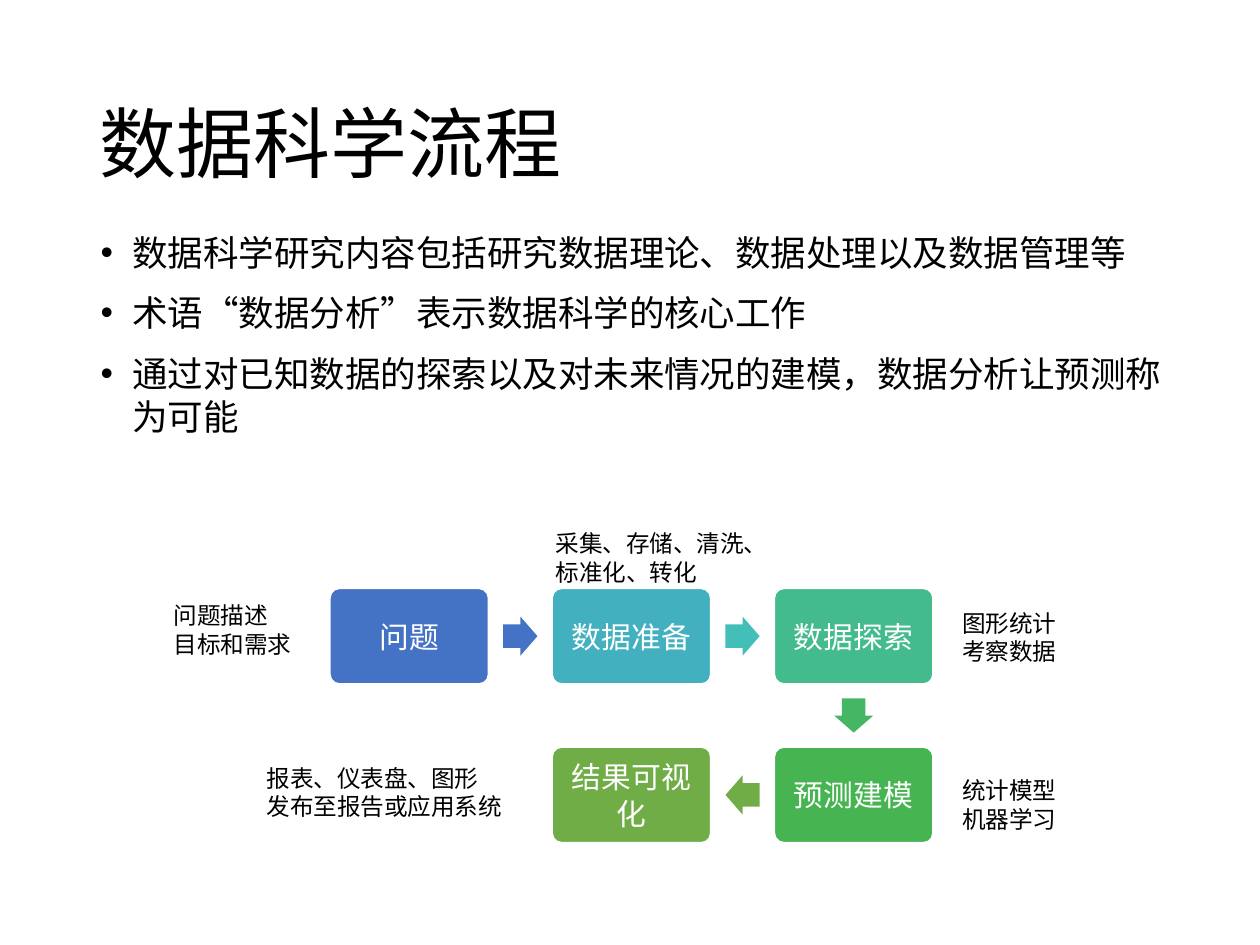
from lxml import etree
from pptx import Presentation
from pptx.dml.color import RGBColor
from pptx.enum import shapes, text
from pptx.oxml.ns import qn
from pptx.util import Cm, Pt

FONT = "Noto Sans CJK SC"
BLACK = RGBColor(0x00, 0x00, 0x00)
WHITE = RGBColor(0xFF, 0xFF, 0xFF)
BLUE = RGBColor(0x44, 0x72, 0xC4)
CYAN = RGBColor(0x43, 0xB0, 0xC0)
TURQUOISE = RGBColor(0x43, 0xBE, 0xB9)
TEAL = RGBColor(0x43, 0xBB, 0x8D)
EMERALD = RGBColor(0x45, 0xB6, 0x64)
GREEN = RGBColor(0x45, 0xB4, 0x51)
OLIVE = RGBColor(0x71, 0xAD, 0x47)


def write(box, lines, *, size, color=BLACK, align=text.PP_ALIGN.LEFT,
          anchor=text.MSO_ANCHOR.TOP, margins=None, gap=0, bullet=False):
    """Fill a shape with one paragraph per line; gap is the space between them in points."""
    frame = box.text_frame
    frame.word_wrap = True
    frame.vertical_anchor = anchor
    if margins is not None:
        frame.margin_left = frame.margin_right = margins
        frame.margin_top = frame.margin_bottom = margins
    for index, line in enumerate(lines):
        para = frame.add_paragraph() if index else frame.paragraphs[0]
        para.alignment = align
        para.line_spacing = Pt(round(size * 1.21, 1))
        if index and gap:
            para.space_before = Pt(gap)
        if bullet:
            properties = para._p.get_or_add_pPr()
            properties.set("marL", str(Cm(0.64)))
            properties.set("indent", str(Cm(-0.64)))
            etree.SubElement(properties, qn("a:buFont")).set("typeface", "Arial")
            etree.SubElement(properties, qn("a:buChar")).set("char", "•")
        span = para.add_run()
        span.text = line
        span.font.size = Pt(size)
        span.font.name = FONT
        span.font.color.rgb = color
        etree.SubElement(span._r.get_or_add_rPr(), qn("a:ea")).set("typeface", FONT)


deck = Presentation()
deck.slide_width, deck.slide_height = Cm(25.4), Cm(19.05)
page = deck.slides.add_slide(deck.slide_layouts[6])

title = page.shapes.add_textbox(Cm(1.75), Cm(1.01), Cm(21.9), Cm(3.68))
write(title, ["数据科学流程"], size=44, anchor=text.MSO_ANCHOR.MIDDLE)

body = page.shapes.add_textbox(Cm(1.78), Cm(4.52), Cm(21.9), Cm(5.49))
write(body, [
    "数据科学研究内容包括研究数据理论、数据处理以及数据管理等",
    "术语“数据分析”表示数据科学的核心工作",
    "通过对已知数据的探索以及对未来情况的建模，数据分析让预测称为可能",
], size=20.3, gap=10, bullet=True)

# Process steps sit on a grid of three columns and two rows
GRID_LEFT, GRID_TOP = 6.65, 11.86
COLUMN_STEP, ROW_STEP = 4.48, 3.2
STEP_WIDTH, STEP_HEIGHT = 3.2, 1.93
ARROW_WIDTH, ARROW_HEIGHT = 0.69, 0.79

steps = [
    ("问题", 0, 0, BLUE),
    ("数据准备", 1, 0, CYAN),
    ("数据探索", 2, 0, TEAL),
    ("预测建模", 2, 1, GREEN),
    ("结果可视化", 1, 1, OLIVE),
]
for name, column, row, color in steps:
    step = page.shapes.add_shape(
        shapes.MSO_SHAPE.ROUNDED_RECTANGLE,
        Cm(GRID_LEFT + column * COLUMN_STEP), Cm(GRID_TOP + row * ROW_STEP),
        Cm(STEP_WIDTH), Cm(STEP_HEIGHT))
    step.adjustments[0] = 0.1
    step.shadow.inherit = False
    step.fill.solid()
    step.fill.fore_color.rgb = color
    step.line.color.rgb = WHITE
    step.line.width = Pt(1)
    write(step, [name], size=17, color=WHITE, align=text.PP_ALIGN.CENTER,
          anchor=text.MSO_ANCHOR.MIDDLE, margins=Cm(0.18))

# Each arrow is centred between two steps, given in grid units
arrows = [
    (0.5, 0, 0, BLUE),
    (1.5, 0, 0, TURQUOISE),
    (2, 0.5, 90, EMERALD),
    (1.5, 1, 180, OLIVE),
]
for column, row, angle, color in arrows:
    center_x = GRID_LEFT + column * COLUMN_STEP + STEP_WIDTH / 2
    center_y = GRID_TOP + row * ROW_STEP + STEP_HEIGHT / 2
    arrow = page.shapes.add_shape(
        shapes.MSO_SHAPE.RIGHT_ARROW,
        Cm(center_x - ARROW_WIDTH / 2), Cm(center_y - ARROW_HEIGHT / 2),
        Cm(ARROW_WIDTH), Cm(ARROW_HEIGHT))
    arrow.adjustments[0] = 0.6
    arrow.adjustments[1] = 0.5
    arrow.rotation = angle
    arrow.shadow.inherit = False
    arrow.fill.solid()
    arrow.fill.fore_color.rgb = color
    arrow.line.fill.background()

notes = [
    (5.13, 15.27, 5.82, ["报表、仪表盘、图形", "发布至报告或应用系统"]),
    (19.15, 15.52, 4.5, ["统计模型", "机器学习"]),
    (19.15, 12.14, 3, ["图形统计", "考察数据"]),
    (10.95, 10.54, 4.75, ["采集、存储、清洗、标准化、转化"]),
    (3.25, 11.99, 3.23, ["问题描述", "目标和需求"]),
]
for left, top, width, lines in notes:
    note = page.shapes.add_textbox(Cm(left), Cm(top), Cm(width), Cm(1.4))
    write(note, lines, size=13.5)

deck.save("out.pptx")
